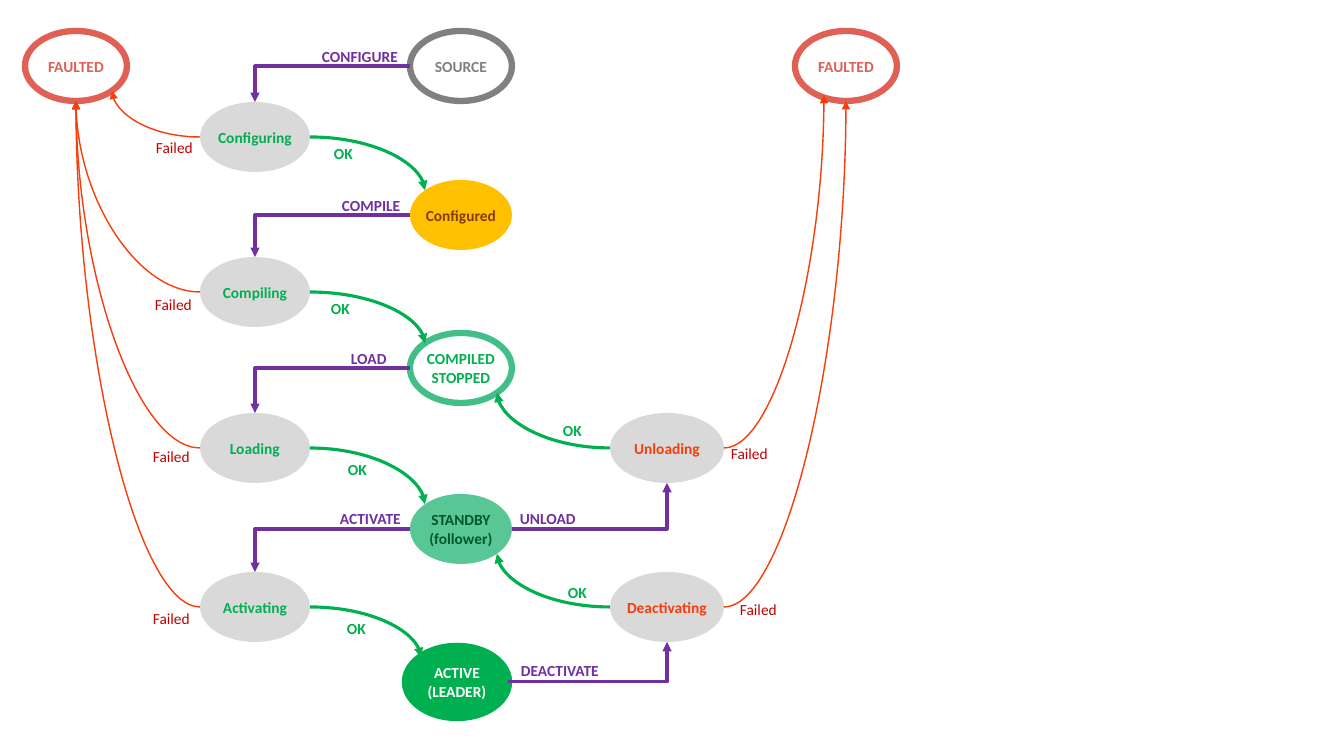
"""Builds a state diagram slide: states, transitions and their labels."""
from dataclasses import dataclass
from math import cos, pi, sin

from lxml.etree import SubElement
from pptx import Presentation
from pptx.dml.color import RGBColor
from pptx.enum.shapes import MSO_CONNECTOR, MSO_SHAPE
from pptx.enum.text import MSO_ANCHOR, MSO_AUTO_SIZE, PP_ALIGN
from pptx.oxml.ns import qn
from pptx.util import Emu, Pt

EMU_PER_PIXEL = 914400 / 100.8
TOP, TOP_LEFT, LEFT, BOTTOM_LEFT, BOTTOM, BOTTOM_RIGHT, RIGHT = range(7)


@dataclass(frozen=True)
class Theme:
    font: str = "Calibri"
    text_size: float = 11
    ring_width: float = 4.5
    leader_ring_width: float = 6
    source: str = "808080"
    faulted: str = "E06056"
    configured: str = "FFC000"
    configured_text: str = "843C0B"
    stopped: str = "42BE86"
    standby: str = "59C795"
    standby_text: str = "005828"
    busy: str = "D9D9D9"
    success: str = "00B050"
    failure: str = "F63D0A"
    failure_text: str = "C00000"
    command: str = "7030A0"
    white: str = "FFFFFF"


THEME = Theme()


@dataclass(frozen=True)
class ArrowStyle:
    kind: MSO_CONNECTOR
    preset: str
    color: str
    width: float
    label_color: str
    bold: bool


COMMAND = ArrowStyle(MSO_CONNECTOR.ELBOW, "bentConnector2", THEME.command, 2.25, THEME.command, True)
SUCCESS = ArrowStyle(MSO_CONNECTOR.CURVE, "curvedConnector2", THEME.success, 2.25, THEME.success, True)
FAILURE = ArrowStyle(MSO_CONNECTOR.CURVE, "curvedConnector2", THEME.failure, 1, THEME.failure_text, False)

LABEL_HEIGHT = 29
LABEL_WIDTHS = {"OK": 39, "Failed": 57, "CONFIGURE": 97, "COMPILE": 80, "LOAD": 56,
                "ACTIVATE": 84, "UNLOAD": 77, "DEACTIVATE": 101}

STABLE_SIZE = (102, 70)
STABLE_STATES = [
    ("faulted left", "FAULTED", 25, 31, dict(ring=THEME.faulted, color=THEME.faulted)),
    ("faulted right", "FAULTED", 795, 31, dict(ring=THEME.faulted, color=THEME.faulted)),
    ("source", "SOURCE", 410, 31, dict(ring=THEME.source, color=THEME.source)),
    ("configured", "Configured", 410, 180, dict(fill=THEME.configured, color=THEME.configured_text)),
    ("stopped", "COMPILED\nSTOPPED", 410, 333, dict(ring=THEME.stopped, color=THEME.success)),
    ("standby", "STANDBY\v(follower)", 410, 494, dict(fill=THEME.standby, color=THEME.standby_text)),
    ("active", "ACTIVE\v(LEADER)", 406, 647, dict(
        fill=THEME.success, ring=THEME.success, ring_width=THEME.leader_ring_width, color=THEME.white)),
]
BUSY_HEIGHT = 70
BUSY_COLUMNS = [
    (200, 110, THEME.success,
     [("Configuring", 102), ("Compiling", 257), ("Loading", 413), ("Activating", 572)]),
    (610, 114, THEME.failure, [("Unloading", 413), ("Deactivating", 572)]),
]
TRANSITIONS = [
    (COMMAND, "source", LEFT, "Configuring", TOP, "CONFIGURE", 312, 42),
    (COMMAND, "configured", LEFT, "Compiling", TOP, "COMPILE", 332, 191),
    (COMMAND, "stopped", LEFT, "Loading", TOP, "LOAD", 341, 344),
    (COMMAND, "standby", LEFT, "Activating", TOP, "ACTIVATE", 330, 504),
    (COMMAND, "standby", RIGHT, "Unloading", BOTTOM, "UNLOAD", 510, 504),
    (COMMAND, "active", RIGHT, "Deactivating", BOTTOM, "DEACTIVATE", 511, 656),
    (SUCCESS, "Configuring", RIGHT, "configured", TOP_LEFT, "OK", 324, 139),
    (SUCCESS, "Compiling", RIGHT, "stopped", TOP_LEFT, "OK", 321, 294),
    (SUCCESS, "Loading", RIGHT, "standby", TOP_LEFT, "OK", 338, 455),
    (SUCCESS, "Activating", RIGHT, "active", TOP_LEFT, "OK", 337, 614),
    (SUCCESS, "Unloading", LEFT, "stopped", BOTTOM_RIGHT, "OK", 553, 416),
    (SUCCESS, "Deactivating", LEFT, "standby", BOTTOM_RIGHT, "OK", 558, 578),
    (FAILURE, "Configuring", LEFT, "faulted left", BOTTOM_RIGHT, "Failed", 146, 133),
    (FAILURE, "Compiling", LEFT, "faulted left", BOTTOM, "Failed", 145, 290),
    (FAILURE, "Loading", LEFT, "faulted left", BOTTOM, "Failed", 143, 442),
    (FAILURE, "Activating", LEFT, "faulted left", BOTTOM, "Failed", 143, 604),
    (FAILURE, "Deactivating", RIGHT, "faulted right", BOTTOM, "Failed", 730, 595),
]
UNLOADING_FAULT_POINT = (824, 95)


def pixels(*lengths):
    """Turn pixel lengths into EMU."""
    return [Emu(round(length * EMU_PER_PIXEL)) for length in lengths]


def write_text(text_frame, text, *, color, bold=True, align=None):
    """Write text into a frame with one format for all its runs."""
    text_frame.text = text
    for paragraph in text_frame.paragraphs:
        paragraph.alignment = align
        for run in paragraph.runs:
            run.font.name = THEME.font
            run.font.size = Pt(THEME.text_size)
            run.font.bold = bold
            run.font.color.rgb = RGBColor.from_string(color)


def paint(fill, color):
    """Make a fill solid, or empty when there is no color."""
    if color:
        fill.solid()
        fill.fore_color.rgb = RGBColor.from_string(color)
    else:
        fill.background()


def add_state(slide, text, box, *, color, fill=None, ring=None, ring_width=THEME.ring_width):
    """Add an ellipse for a state."""
    shape = slide.shapes.add_shape(MSO_SHAPE.OVAL, *pixels(*box))
    shape.shadow.inherit = False
    paint(shape.fill, fill)
    paint(shape.line.fill, ring)
    if ring:
        shape.line.width = Pt(ring_width)
    frame = shape.text_frame
    frame.margin_left = frame.margin_right = frame.margin_top = frame.margin_bottom = 0
    frame.vertical_anchor = MSO_ANCHOR.MIDDLE
    write_text(frame, text, color=color, align=PP_ALIGN.CENTER)
    return shape


def site_point(shape, site):
    """Return a connection site, counted counterclockwise from the top."""
    angle = site * pi / 4
    horizontal, vertical = shape.width / 2, shape.height / 2
    return (Emu(round(shape.left + horizontal * (1 - sin(angle)))),
            Emu(round(shape.top + vertical * (1 - cos(angle)))))


def add_arrow(slide, style, start, end):
    """Add an arrow that leaves sideways and arrives upright."""
    connector = slide.shapes.add_connector(style.kind, *start, *end)
    connector.line.color.rgb = RGBColor.from_string(style.color)
    connector.line.width = Pt(style.width)
    properties = connector._element.spPr
    properties.find(qn("a:prstGeom")).set("prst", style.preset)
    SubElement(properties.find(qn("a:ln")), qn("a:tailEnd"), type="triangle")
    SubElement(properties, qn("a:effectLst"))


def add_label(slide, text, left, top, style):
    """Add the label of a transition."""
    box = slide.shapes.add_textbox(*pixels(left, top, LABEL_WIDTHS[text], LABEL_HEIGHT))
    box.text_frame.word_wrap = False
    box.text_frame.auto_size = MSO_AUTO_SIZE.SHAPE_TO_FIT_TEXT
    write_text(box.text_frame, text, color=style.label_color, bold=style.bold)


def add_states(slide):
    """Add all states and return them by name."""
    states = {}
    for name, text, left, top, look in STABLE_STATES:
        states[name] = add_state(slide, text, (left, top, *STABLE_SIZE), **look)
    for left, width, color, rows in BUSY_COLUMNS:
        for text, top in rows:
            box = (left, top, width, BUSY_HEIGHT)
            states[text] = add_state(slide, text, box, color=color, fill=THEME.busy)
    return states


def main():
    """Build and save the presentation."""
    presentation = Presentation()
    presentation.slide_width, presentation.slide_height = pixels(1344, 756)
    slide = presentation.slides.add_slide(presentation.slide_layouts[6])
    states = add_states(slide)
    for style, source, exit_site, target, entry_site, text, left, top in TRANSITIONS:
        start = site_point(states[source], exit_site)
        add_arrow(slide, style, start, site_point(states[target], entry_site))
        add_label(slide, text, left, top, style)
    add_arrow(slide, FAILURE, site_point(states["Unloading"], RIGHT), pixels(*UNLOADING_FAULT_POINT))
    add_label(slide, "Failed", 721, 439, FAILURE)
    presentation.save("out.pptx")


main()
